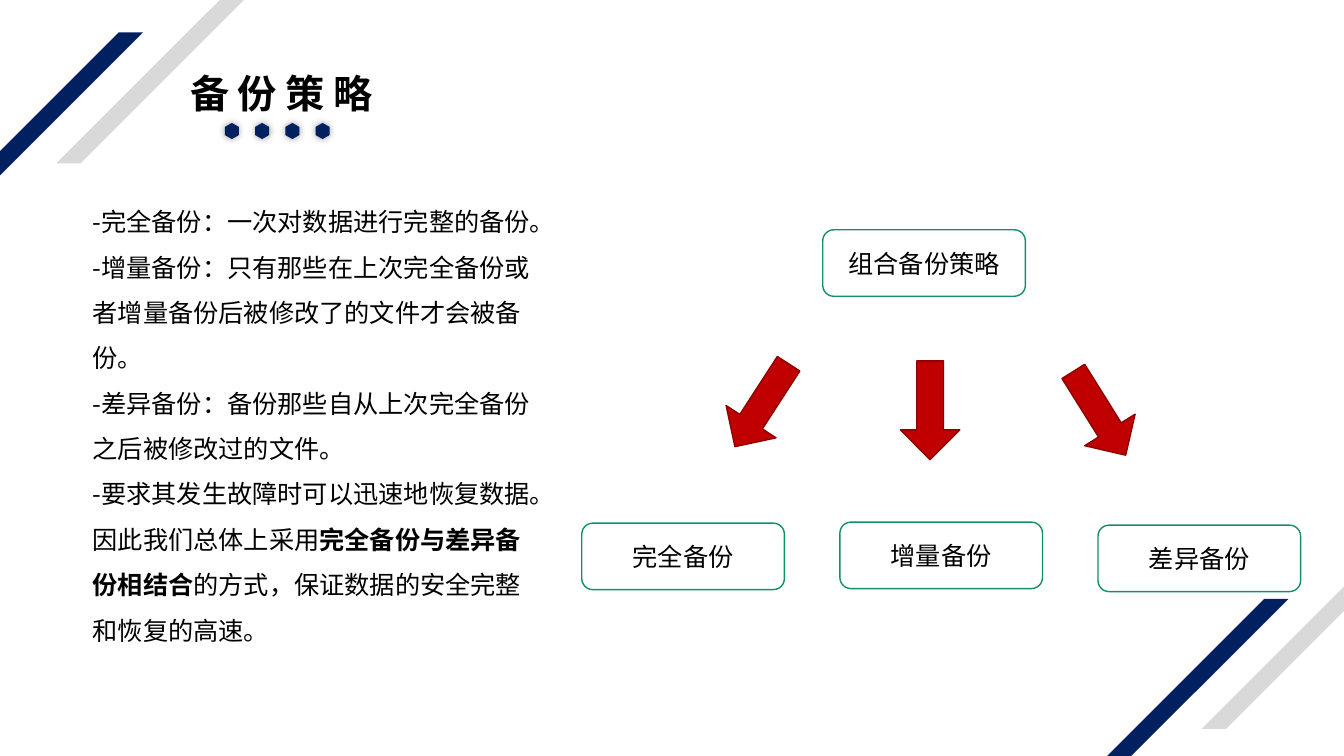
import pptx
import pptx.util
import pptx.dml.color
import pptx.enum.shapes
import pptx.enum.text
import pptx.oxml
import pptx.oxml.ns
from lxml import etree

Inches = pptx.util.Inches
Pt = pptx.util.Pt
qn = pptx.oxml.ns.qn
MSO_SHAPE = pptx.enum.shapes.MSO_SHAPE
PP_ALIGN = pptx.enum.text.PP_ALIGN
MSO_ANCHOR = pptx.enum.text.MSO_ANCHOR


def rgb(value):
    return pptx.dml.color.RGBColor.from_string(value)


class Deck:
    font = "Noto Sans CJK SC"
    navy, grey, red, dark_red = "002060", "D9D9D9", "C00000", "8E0000"
    green, white, black = "119169", "FFFFFF", "000000"

    def __init__(self, slide):
        self.s = slide

    def paint(self, sp, fill, line=None):
        sp.shadow.inherit = False
        sp.fill.solid()
        sp.fill.fore_color.rgb = rgb(fill)
        if line:
            sp.line.color.rgb = rgb(line)
            sp.line.width = Pt(1)
        else:
            sp.line.fill.background()

    def shape(self, kind, box, fill, line=None, adjustments=()):
        sp = self.s.shapes.add_shape(kind, *map(Inches, box))
        for i, value in enumerate(adjustments):
            sp.adjustments[i] = value
        self.paint(sp, fill, line)
        return sp

    def set_font(self, p, size, bold=None, spacing=None):
        f = p.font
        f.size = Pt(size)
        f.name = self.font
        f.color.rgb = rgb(self.black)
        f.bold = bold
        if spacing:
            f._rPr.set("spc", str(spacing * 100))
        ea = etree.SubElement(f._rPr, qn("a:ea"))
        ea.set("typeface", self.font)

    def stripe(self, left, top, fill):
        self.shape(MSO_SHAPE.PARALLELOGRAM, (left, top, 2.83, 2.59), fill,
                   adjustments=[1])

    def hexagon(self, cx, cy):
        w, h = 0.07, 0.08
        points = [(cx, cy - h), (cx + w, cy - h / 2), (cx + w, cy + h / 2),
                  (cx, cy + h), (cx - w, cy + h / 2), (cx - w, cy - h / 2)]
        points = [(Inches(x), Inches(y)) for x, y in points]
        builder = self.s.shapes.build_freeform(*points[0])
        builder.add_line_segments(points[1:], close=True)
        sp = builder.convert_to_shape()
        self.paint(sp, self.navy)
        effects = sp._element.spPr.find(qn("a:effectLst"))
        glow = etree.SubElement(effects, qn("a:outerShdw"), blurRad=str(Pt(5)),
                                dist="0", algn="ctr", rotWithShape="0")
        color = etree.SubElement(glow, qn("a:srgbClr"), val=self.black)
        etree.SubElement(color, qn("a:alpha"), val="40000")

    def box(self, left, top, text):
        sp = self.shape(MSO_SHAPE.FLOWCHART_ALTERNATE_PROCESS,
                        (left, top, 2.01, 0.66), self.white, self.green)
        tf = sp.text_frame
        tf.vertical_anchor = MSO_ANCHOR.MIDDLE
        p = tf.paragraphs[0]
        p.alignment = PP_ALIGN.CENTER
        p.add_run().text = text
        self.set_font(p, 18)

    def arrow(self, left, top, rotation):
        sp = self.shape(MSO_SHAPE.DOWN_ARROW, (left, top, 0.59, 0.98),
                        self.red, self.dark_red, [0.45, 0.5])
        sp.rotation = rotation

    def text(self, box, paragraphs, size, wrap=True, bold=None, spacing=None,
             line_spacing=None):
        tf = self.s.shapes.add_textbox(*map(Inches, box)).text_frame
        tf.word_wrap = wrap
        tf.auto_size = pptx.enum.text.MSO_AUTO_SIZE.SHAPE_TO_FIT_TEXT
        for i, runs in enumerate(paragraphs):
            p = tf.add_paragraph() if i else tf.paragraphs[0]
            p.line_spacing = line_spacing
            for text, strong in runs:
                r = p.add_run()
                r.text = text
                if strong:
                    r.font.bold = True
            self.set_font(p, size, bold, spacing)


def main():
    prs = pptx.Presentation()
    prs.slide_width = Inches(13.33)
    prs.slide_height = Inches(7.5)
    deck = Deck(prs.slides.add_slide(prs.slide_layouts[6]))

    for left, top, fill in [(-1.41, 0.32, deck.navy), (0.56, -0.97, deck.grey),
                            (9.95, 5.94, deck.navy), (11.92, 4.64, deck.grey)]:
        deck.stripe(left, top, fill)

    deck.text((1.79, 0.64, 2.11, 0.57), [[("备份策略", False)]], 28,
              wrap=False, bold=True, spacing=6)
    for i in range(4):
        deck.hexagon(2.3 + 0.3 * i, 1.3)

    for left, top, label in [(8.16, 2.28, "组合备份策略"),
                             (5.77, 5.19, "完全备份"),
                             (8.33, 5.18, "增量备份"),
                             (10.89, 5.21, "差异备份")]:
        deck.box(left, top, label)
    for left, top, rotation in [(7.26, 3.53, 32.9), (8.93, 3.58, 0),
                                (10.61, 3.61, 328)]:
        deck.arrow(left, top, rotation)

    deck.text((0.82, 1.85, 4.61, 4.59), [
        [("-完全备份：一次对数据进行完整的备份。", False)],
        [("-增量备份：只有那些在上次完全备份或者增量备份后被修改了的文件才会被备份。", False)],
        [("-差异备份：备份那些自从上次完全备份之后被修改过的文件。", False)],
        [("-要求其发生故障时可以迅速地恢复数据。因此我们总体上采用", False),
         ("完全备份与差异备份相结合", True),
         ("的方式，保证数据的安全完整和恢复的高速。", False)],
    ], 18, line_spacing=1.5)

    prs.save("out.pptx")


if __name__ == "__main__":
    main()
